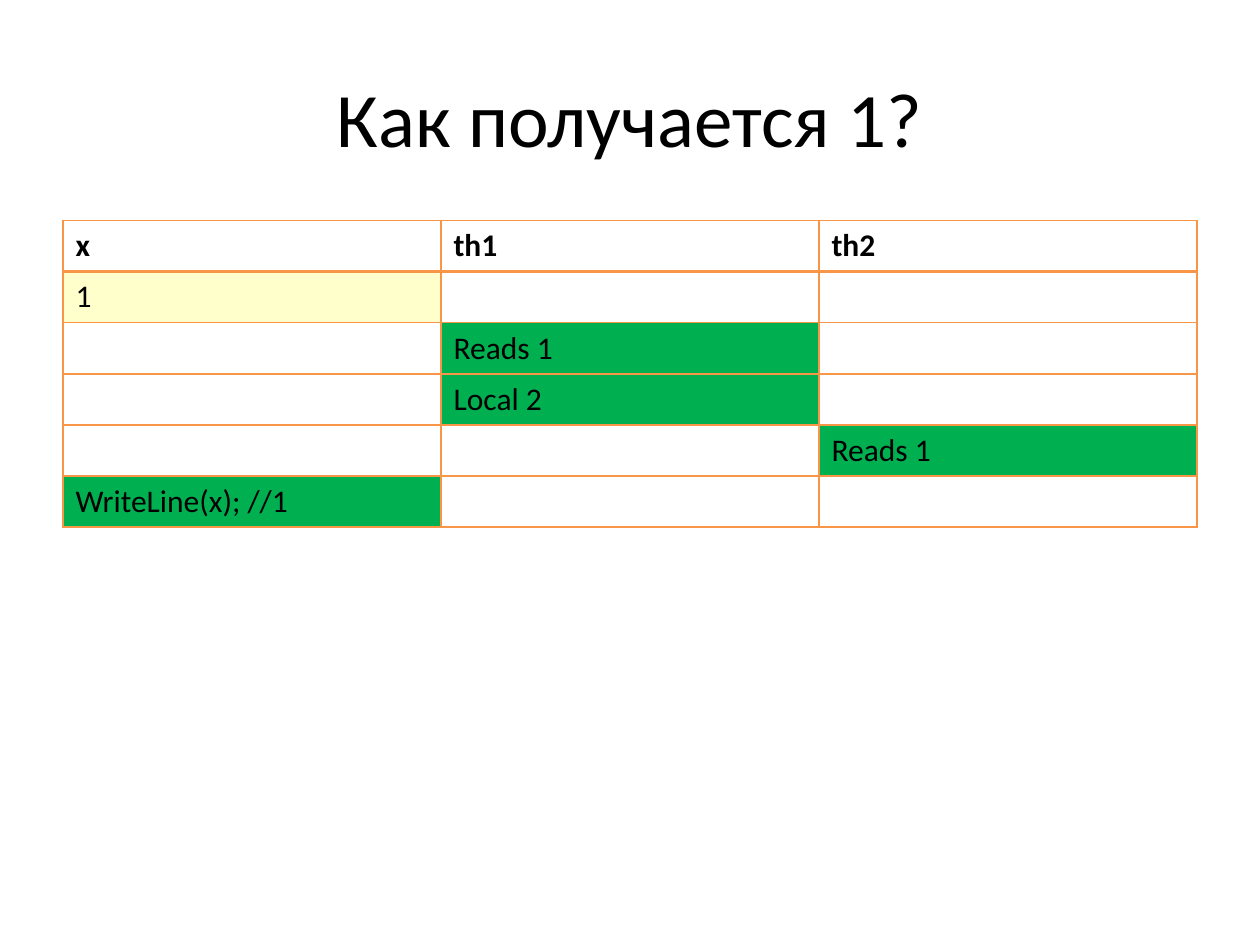
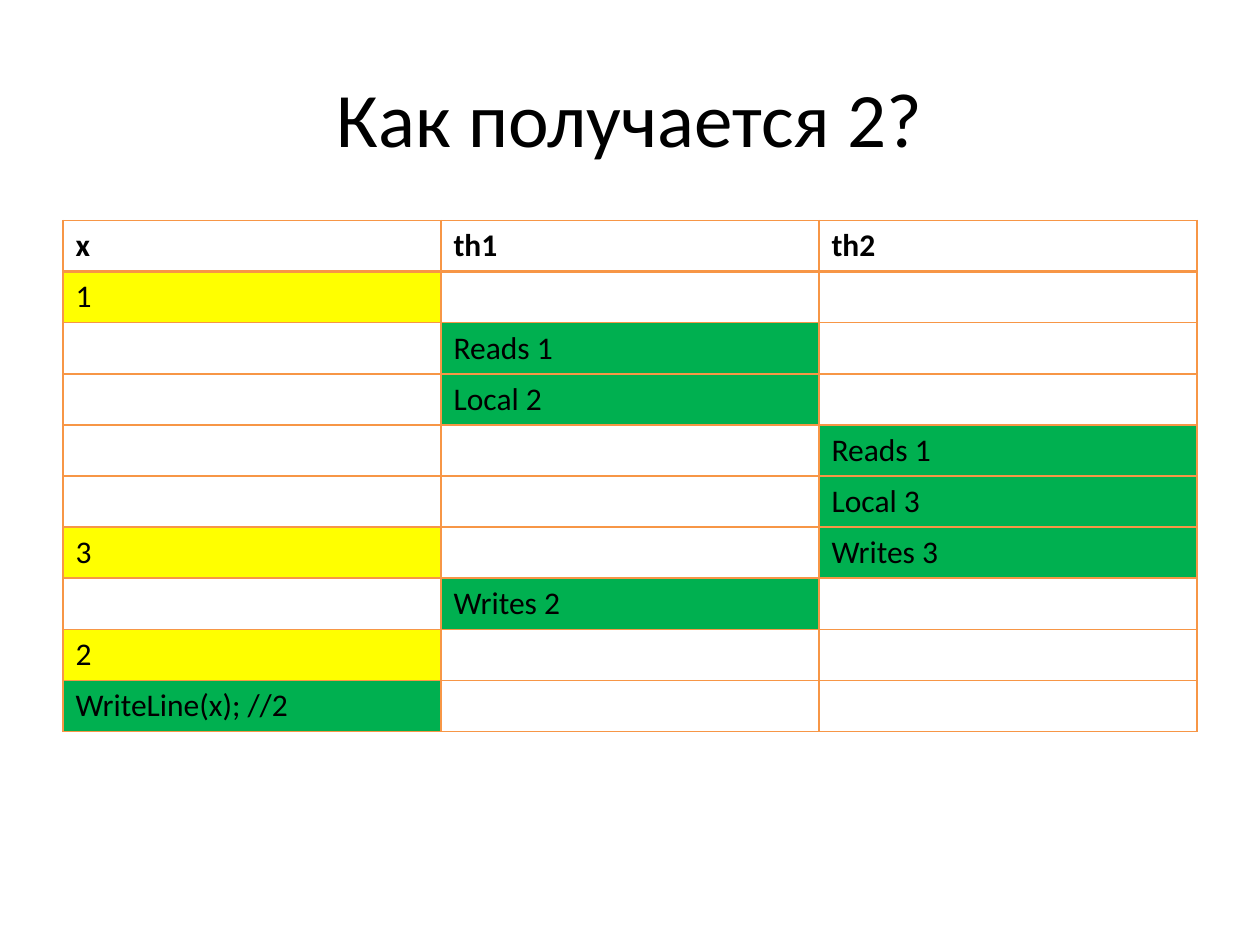
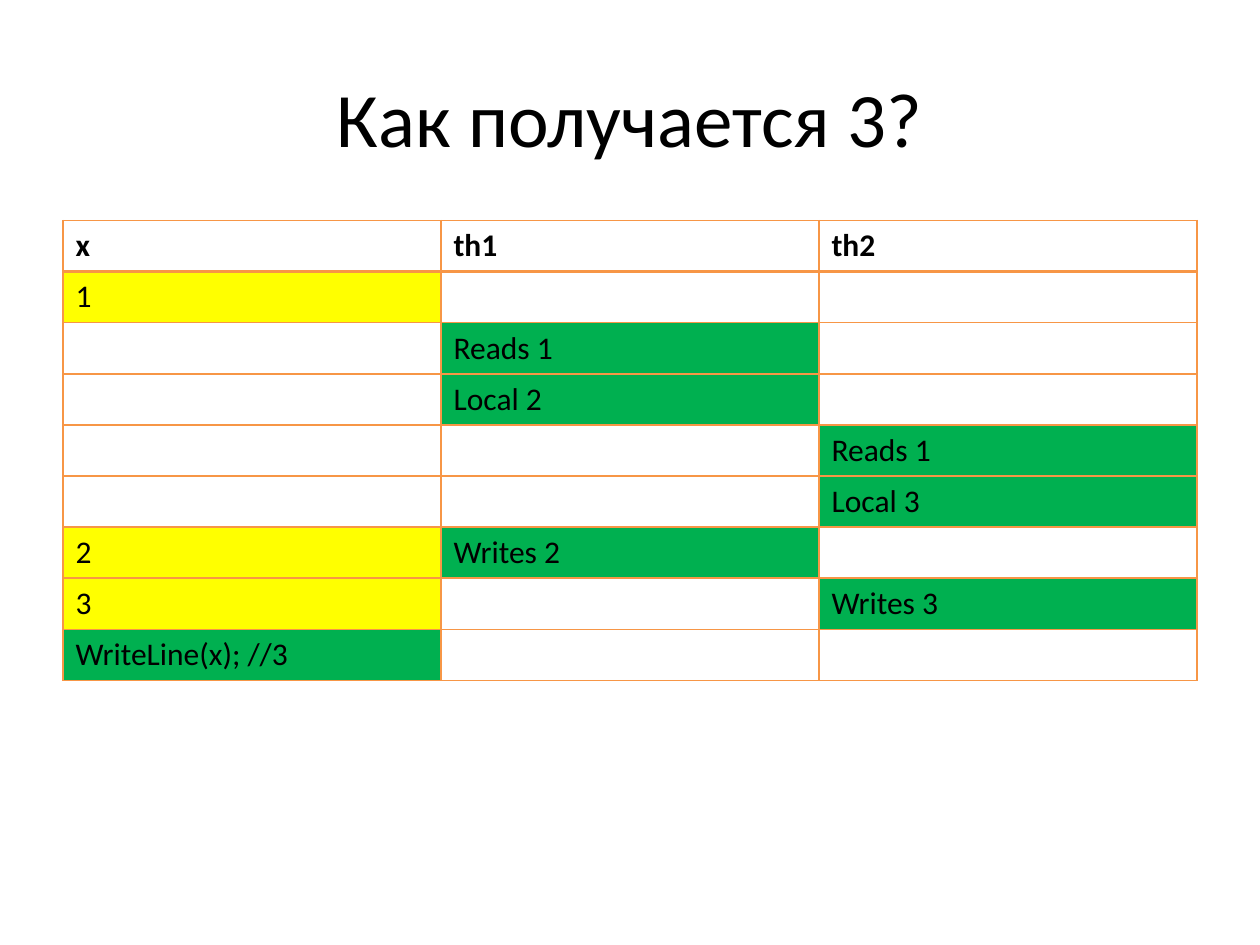
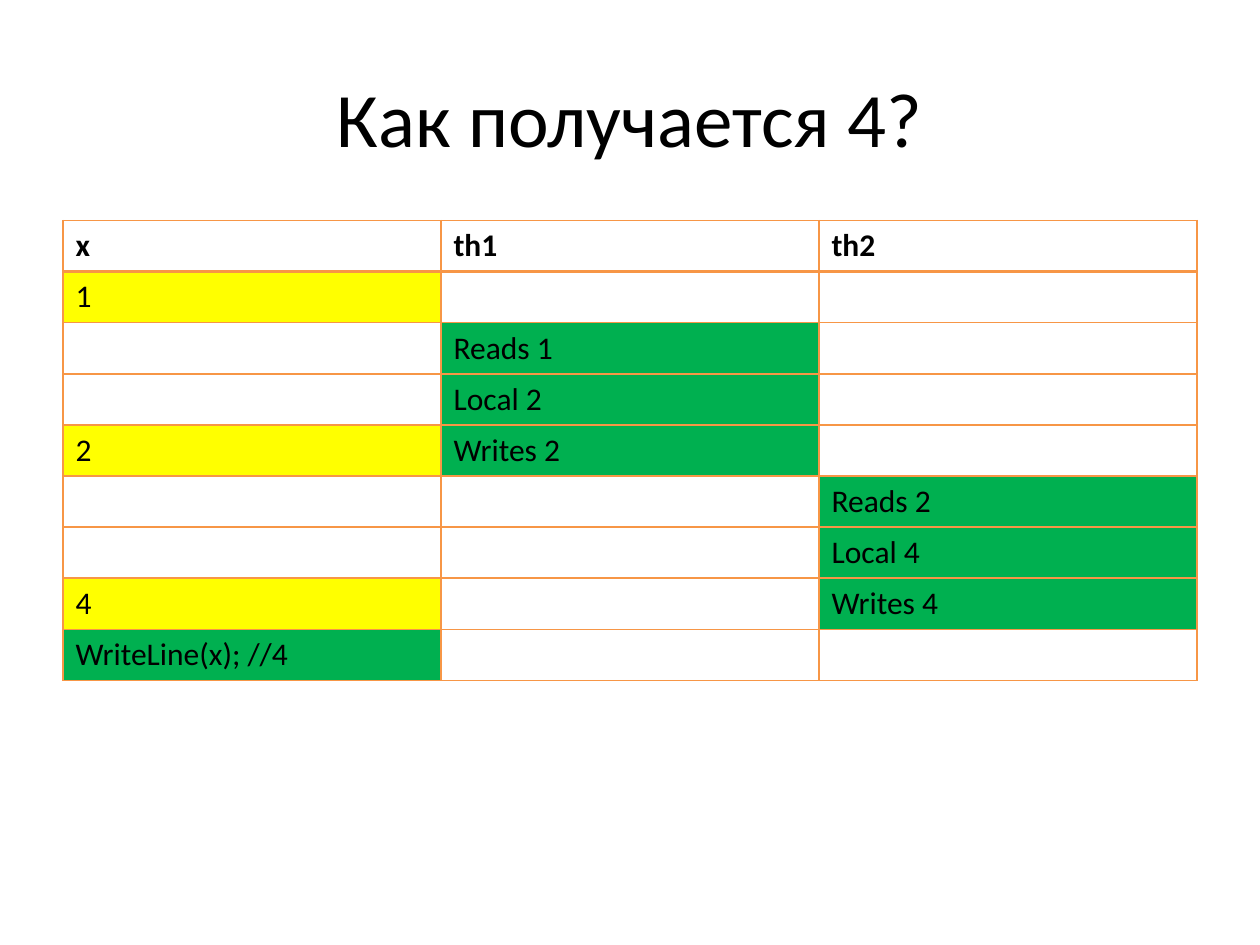
from lxml import etree
from pptx import Presentation
from pptx.dml.color import RGBColor
from pptx.enum.text import MSO_ANCHOR, PP_ALIGN
from pptx.oxml.ns import qn
from pptx.util import Inches, Pt

MIDDLE = MSO_ANCHOR.MIDDLE
LEFT, CENTER = PP_ALIGN.LEFT, PP_ALIGN.CENTER

BLACK = RGBColor(0x00, 0x00, 0x00)
ORANGE = RGBColor(0xF7, 0x96, 0x46)
YELLOW = RGBColor(0xFF, 0xFF, 0x00)
GREEN = RGBColor(0x00, 0xB0, 0x50)

FONT = "Calibri"
WIDE, HIGH = Inches(10), Inches(7.5)
EDGE = round(WIDE * 0.05)
SPAN = WIDE - 2 * EDGE
TITLE_BOX = EDGE, round(HIGH * 0.04), SPAN, Inches(1.25)
TABLE_TOP = Inches(1.75)
ROW = Pt(29.2)
THIN, THICK = Pt(1), Pt(2)
TITLE_ONLY = 5

HEAD = ("x", "th1", "th2")
START = [("1", "", ""), ("", "Reads 1", ""), ("", "Local 2", "")]
CASES = [
    (1, 20, [("", "", "Reads 1")]),
    (2, 100, [
        ("", "", "Reads 1"),
        ("", "", "Local 3"),
        ("3", "", "Writes 3"),
        ("", "Writes 2", ""),
        ("2", "", ""),
    ]),
    (3, 100, [
        ("", "", "Reads 1"),
        ("", "", "Local 3"),
        ("2", "Writes 2", ""),
        ("3", "", "Writes 3"),
    ]),
    (4, 100, [
        ("2", "Writes 2", ""),
        ("", "", "Reads 2"),
        ("", "", "Local 4"),
        ("4", "", "Writes 4"),
    ]),
]


def write(frame, text, size=18, bold=False, align=LEFT):
    """Put one formatted paragraph into a text frame."""
    para = frame.paragraphs[0]
    para.alignment = align
    para.font.size = Pt(size)
    if text:
        run = para.add_run()
        run.text = text
        font = run.font
        font.name, font.size, font.bold = FONT, Pt(size), bold
        font.color.rgb = BLACK


def border(cell, top, bottom):
    """Line all four sides of a cell in orange."""
    props = cell._tc.get_or_add_tcPr()
    sides = {"L": THIN, "R": THIN, "T": top, "B": bottom}
    for side, width in sides.items():
        line = etree.SubElement(props, qn(f"a:ln{side}"), w=str(width))
        fill = etree.SubElement(line, qn("a:solidFill"))
        etree.SubElement(fill, qn("a:srgbClr"), val=str(ORANGE))


def paint(cell, text, share):
    """Fill values of x in yellow, actions in green and leave the rest clear."""
    if not text:
        cell.fill.background()
        return
    cell.fill.solid()
    cell.fill.fore_color.rgb = YELLOW if text.isdigit() else GREEN
    if text.isdigit() and share < 100:
        tint = cell._tc.tcPr.find(qn("a:solidFill"))[0]
        etree.SubElement(tint, qn("a:alpha"), val=str(share * 1000))


def add_title(slide, box, text):
    """Place the title in its box."""
    title = slide.shapes.title
    title.left, title.top, title.width, title.height = box
    title.text_frame.vertical_anchor = MIDDLE
    write(title.text_frame, text, size=44, align=CENTER)


def add_steps(slide, left, top, width, steps, share):
    """Draw the table of thread steps under its header row."""
    rows = [HEAD, *steps]
    frame = slide.shapes.add_table(
        len(rows), len(HEAD), left, top, width, ROW * len(rows))
    table = frame.table
    table.first_row = table.horz_banding = False
    for col in table.columns:
        col.width = width // len(HEAD)
    for r, texts in enumerate(rows):
        table.rows[r].height = ROW
        for c, text in enumerate(texts):
            cell = table.cell(r, c)
            write(cell.text_frame, text, bold=r == 0)
            border(cell, THICK if r == 1 else THIN, THICK if r == 0 else THIN)
            paint(cell, text if r else "", share)


def add_case(deck, result, share, steps):
    """Add the slide that explains one result."""
    slide = deck.slides.add_slide(deck.slide_layouts[TITLE_ONLY])
    add_title(slide, TITLE_BOX, f"Как получается {result}?")
    last = (f"WriteLine(x); //{result}", "", "")
    add_steps(slide, EDGE, TABLE_TOP, SPAN, [*START, *steps, last], share)


def main():
    """Build and save the deck."""
    deck = Presentation()
    deck.slide_width, deck.slide_height = WIDE, HIGH
    for result, share, steps in CASES:
        add_case(deck, result, share, steps)
    deck.save("out.pptx")


if __name__ == "__main__":
    main()
